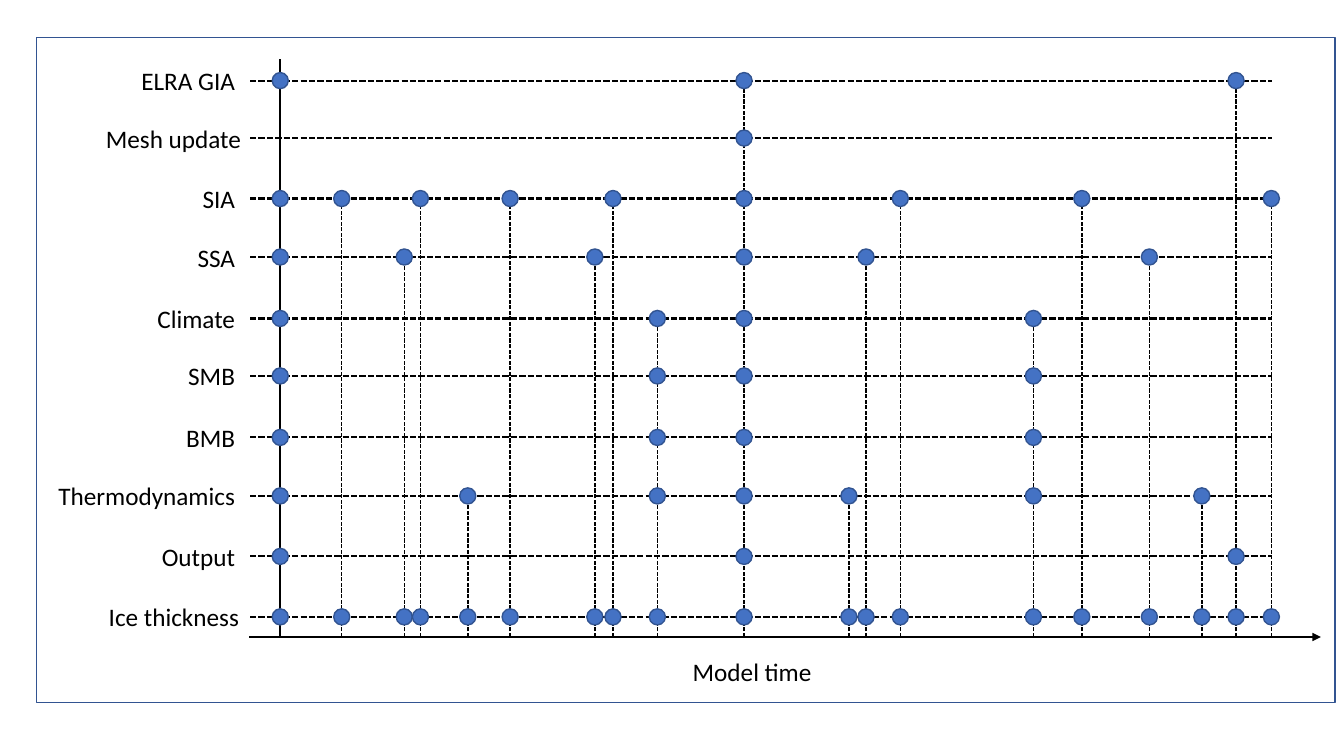
from lxml.etree import SubElement
from pptx import Presentation
from pptx.dml.color import RGBColor
from pptx.enum.dml import MSO_LINE_DASH_STYLE as Dash
from pptx.enum.shapes import MSO_CONNECTOR_TYPE as Connector, MSO_SHAPE as Shape
from pptx.enum.text import MSO_AUTO_SIZE as AutoSize, PP_ALIGN as Align
from pptx.oxml.ns import qn
from pptx.util import Inches, Pt

BLACK, BLUE, DARK_BLUE = "000000", "4472C4", "325491"
AXIS_X, AXIS_Y = 2.78, 6.32
ROW_LEFT, ROW_RIGHT = 2.48, 12.62
LABEL_HEIGHT, DOT = 0.4, 0.16

ROWS = {
    "ELRA GIA": (0.8, 1.14, 2.43),
    "Mesh update": (1.37, 1.56, 2.49),
    "SIA": (1.97, 0.53, 2.43),
    "SSA": (2.55, 0.58, 2.43),
    "Climate": (3.16, 0.98, 2.43),
    "SMB": (3.73, 0.67, 2.43),
    "BMB": (4.34, 0.69, 2.43),
    "Thermodynamics": (4.92, 1.97, 2.43),
    "Output": (5.52, 0.94, 2.43),
    "Ice thickness": (6.12, 1.51, 2.47),
}
CLIMATE_STEP = ["Climate", "SMB", "BMB", "Thermodynamics"]
EVENTS = [
    (3.39, ["SIA"]),
    (4.01, ["SSA"]),
    (4.17, ["SIA"]),
    (4.64, ["Thermodynamics"]),
    (5.06, ["SIA"]),
    (5.9, ["SSA"]),
    (6.08, ["SIA"]),
    (6.52, CLIMATE_STEP),
    (7.38, list(ROWS)[:-1]),
    (8.42, ["Thermodynamics"]),
    (8.59, ["SSA"]),
    (8.93, ["SIA"]),
    (10.25, CLIMATE_STEP),
    (10.73, ["SIA"]),
    (11.4, ["SSA"]),
    (11.92, ["Thermodynamics"]),
    (12.26, ["ELRA GIA", "Output"]),
    (12.61, ["SIA"]),
]
START = (AXIS_X, [name for name in list(ROWS)[:-1] if name != "Mesh update"])

presentation = Presentation()
presentation.slide_width = Inches(13.33)
presentation.slide_height = Inches(7.5)
slide = presentation.slides.add_slide(presentation.slide_layouts[6])


def add_line(x1, y1, x2, y2, width, dash=None):
    line = slide.shapes.add_connector(
        Connector.STRAIGHT, Inches(x1), Inches(y1), Inches(x2), Inches(y2))
    line.line.color.rgb = RGBColor.from_string(BLACK)
    line.line.width = Pt(width)
    if dash:
        line.line.dash_style = dash
    SubElement(line._element.spPr, qn("a:effectLst"))
    return line


def add_label(text, left, top, width, align):
    box = slide.shapes.add_textbox(
        Inches(left), Inches(top), Inches(width), Inches(LABEL_HEIGHT))
    box.text_frame.word_wrap = False
    box.text_frame.auto_size = AutoSize.SHAPE_TO_FIT_TEXT
    paragraph = box.text_frame.paragraphs[0]
    paragraph.alignment = align
    run = paragraph.add_run()
    run.text = text
    run.font.name = "Calibri"
    run.font.size = Pt(18)
    run.font.color.rgb = RGBColor.from_string(BLACK)


time_axis = add_line(2.47, AXIS_Y, 13.1, AXIS_Y, 1.5)
SubElement(time_axis.line._get_or_add_ln(), qn("a:tailEnd"), type="triangle")
add_label("Model time", 6.76, 6.46, 1.4, Align.CENTER)
add_line(AXIS_X, AXIS_Y, AXIS_X, 0.59, 1.5)

for name, (y, width, right) in ROWS.items():
    add_line(ROW_LEFT, y, ROW_RIGHT, y, 1.5, Dash.SQUARE_DOT)
    add_label(name, right - width, y - 0.2, width, Align.RIGHT)

for x, names in EVENTS:
    add_line(x, AXIS_Y, x, ROWS[names[0]][0] + DOT / 2, 1, Dash.SQUARE_DOT)

for x, names in [START] + EVENTS:
    for name in names + ["Ice thickness"]:
        dot = slide.shapes.add_shape(
            Shape.OVAL, Inches(x - DOT / 2), Inches(ROWS[name][0] - DOT / 2),
            Inches(DOT), Inches(DOT))
        dot.shadow.inherit = False
        dot.fill.solid()
        dot.fill.fore_color.rgb = RGBColor.from_string(BLUE)
        dot.line.color.rgb = RGBColor.from_string(DARK_BLUE)
        dot.line.width = Pt(1)

frame = slide.shapes.add_shape(
    Shape.RECTANGLE, Inches(0.36), Inches(0.37), Inches(12.88), Inches(6.6))
frame.shadow.inherit = False
frame.fill.background()
frame.line.color.rgb = RGBColor.from_string(DARK_BLUE)
frame.line.width = Pt(1)

presentation.save("out.pptx")
